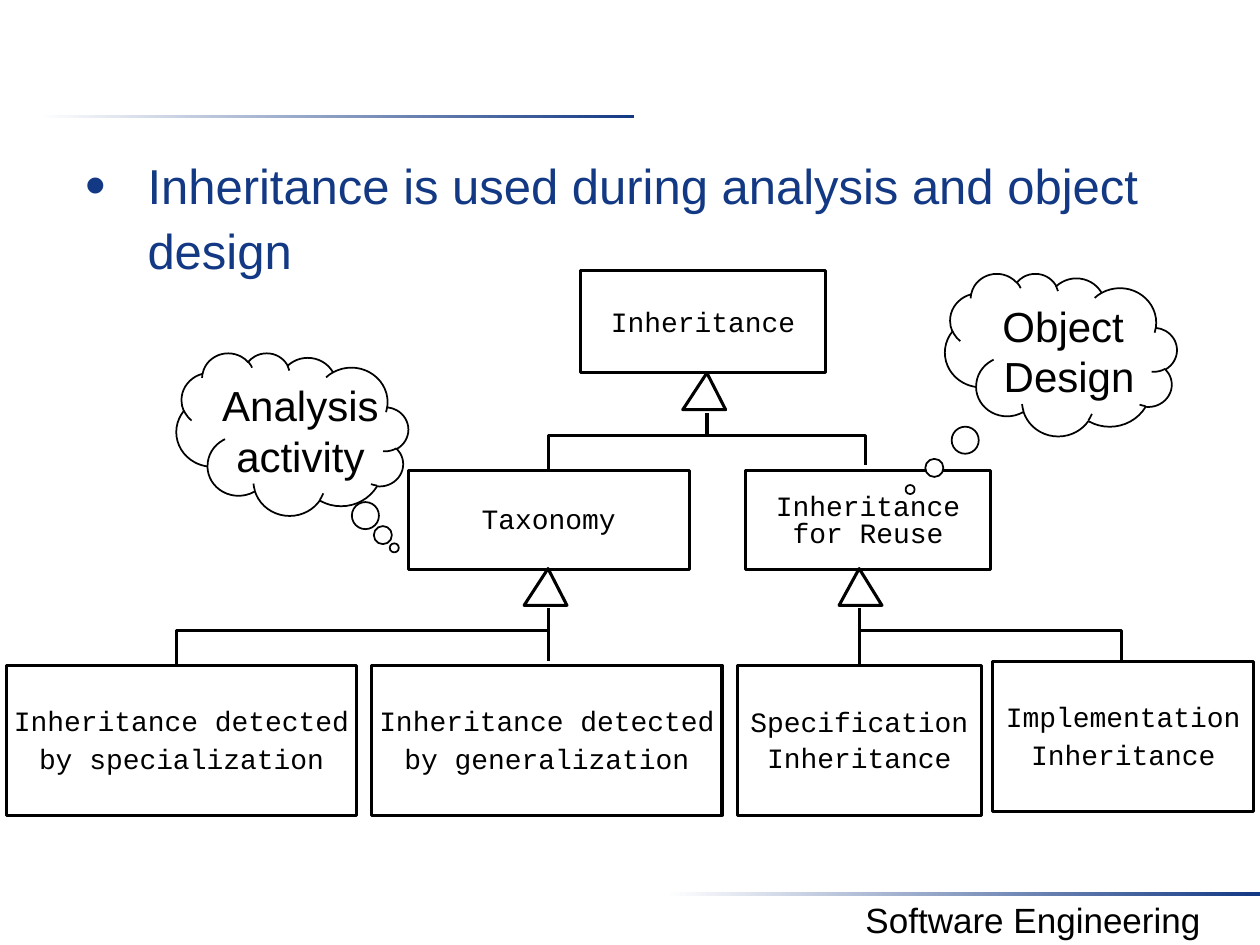
import pptx
import pptx.dml.color
import pptx.enum.shapes
import pptx.enum.text
import pptx.util
from lxml import etree
from pptx.oxml.ns import qn

Pt = pptx.util.Pt
Shape = pptx.enum.shapes.MSO_SHAPE
Align = pptx.enum.text.PP_ALIGN
Anchor = pptx.enum.text.MSO_ANCHOR
AutoSize = pptx.enum.text.MSO_AUTO_SIZE


def color(value):
    return pptx.dml.color.RGBColor.from_string(value)


def write(frame, text, font="Arial", size=24, ink="000000", align=Align.CENTER,
          spacing=None, anchor=Anchor.MIDDLE, wrap=False, bullet_indent=None):
    frame.word_wrap = wrap
    frame.vertical_anchor = anchor
    for index, line in enumerate(text.split("\n")):
        para = frame.add_paragraph() if index else frame.paragraphs[0]
        if bullet_indent:
            properties = para._p.get_or_add_pPr()
            properties.set("marL", str(Pt(bullet_indent)))
            properties.set("indent", str(-Pt(bullet_indent)))
            etree.SubElement(properties, qn("a:buSzPct"), val="120000")
            etree.SubElement(properties, qn("a:buChar"), char="•")
        para.alignment = align
        para.space_before = Pt(0)
        if spacing:
            para.line_spacing = spacing
        span = para.add_run()
        span.text = line
        span.font.name = font
        span.font.size = Pt(size)
        span.font.color.rgb = color(ink)


class Diagram:
    ink = "000000"
    accent = "133984"
    paper = "FFFFFF"
    weight = 1.75

    def __init__(self, deck):
        self.page = deck.slides.add_slide(deck.slide_layouts[1])
        self.shapes = self.page.shapes
        title = self.shapes.title
        title._element.getparent().remove(title._element)

    def outline(self, shape, weight=weight):
        shape.line.color.rgb = color(self.ink)
        shape.line.width = Pt(weight)

    def preset(self, kind, left, top, width, height):
        shape = self.shapes.add_shape(kind, Pt(left), Pt(top), Pt(width), Pt(height))
        shape.shadow.inherit = False
        return shape

    def rule(self, left, top):
        bar = self.preset(Shape.RECTANGLE, left, top, 340, 2.2)
        bar.line.fill.background()
        bar.fill.gradient()
        bar.fill.gradient_angle = 0
        for stop, value in zip(bar.fill.gradient_stops, (self.paper, self.accent)):
            stop.color.rgb = color(value)

    def footer(self, text):
        box = self.shapes.add_textbox(Pt(460.8), Pt(509.8), Pt(259.2), Pt(31.5))
        write(box.text_frame, text, size=20, anchor=Anchor.TOP, wrap=True)

    def body(self, text):
        box = self.page.placeholders[1]
        box.left, box.top, box.width, box.height = Pt(41.8), Pt(78.5), Pt(635.8), Pt(46)
        box.text_frame.auto_size = AutoSize.NONE
        box.text_frame.margin_top = Pt(7)
        write(box.text_frame, text, size=28, ink=self.accent, align=Align.LEFT,
              spacing=1.1, anchor=Anchor.TOP, wrap=True, bullet_indent=35.3)

    def class_box(self, text, left, top, width, height, leading=18):
        box = self.preset(Shape.RECTANGLE, left, top, width, height)
        box.fill.background()
        self.outline(box)
        frame = box.text_frame
        frame.margin_left = frame.margin_right = 0
        frame.margin_top = Pt(max(0, 18 - leading))
        frame.margin_bottom = Pt(max(0, leading - 18))
        write(frame, text, font="Courier New", size=16, spacing=Pt(leading))

    def polyline(self, points, close=False):
        corners = [(Pt(x), Pt(y)) for x, y in points]
        builder = self.shapes.build_freeform(*corners[0])
        builder.add_line_segments(corners[1:], close=close)
        shape = builder.convert_to_shape()
        shape.shadow.inherit = False
        shape.fill.background()
        self.outline(shape)

    def stem(self, x, top, bottom):
        line = self.shapes.add_connector(
            pptx.enum.shapes.MSO_CONNECTOR.STRAIGHT, Pt(x), Pt(bottom), Pt(x), Pt(top))
        etree.SubElement(line._element.spPr, qn("a:effectLst"))
        self.outline(line)

    def generalization(self, x, y, base_left, left, right):
        base, bar = y + 21, y + 35.6
        self.polyline([(x, base), (base_left, base), (x, y), (base_left + 24.5, base)],
                      close=True)
        self.polyline([(left, bar + 19.4), (left, bar), (right, bar), (right, bar + 17.3)])
        self.stem(x, y + 22.7, bar)

    def thought(self, text, left, top, tail):
        cloud = self.preset(Shape.CLOUD_CALLOUT, left, top, 132.5, 92.9)
        cloud._element.spPr.find(qn("a:xfrm")).set("flipH", "1")
        cloud.adjustments[0], cloud.adjustments[1] = tail
        cloud.fill.solid()
        cloud.fill.fore_color.rgb = color(self.paper)
        self.outline(cloud, 1)
        write(cloud.text_frame, text)


def main():
    deck = pptx.Presentation()
    deck.slide_width, deck.slide_height = Pt(720), Pt(540)
    diagram = Diagram(deck)
    diagram.rule(22.3, 65.5)
    diagram.rule(380.2, 509.8)
    diagram.footer("Software Engineering")
    diagram.body("Inheritance is used during analysis and object design")

    diagram.class_box("Inheritance", 331.9, 154.8, 139.7, 58.3)
    for arrow in [(404, 213.1, 390.2, 313.2, 494.6),
                  (491, 324.9, 479.5, 491, 640.8),
                  (313.2, 324.9, 299.5, 100.8, 313.2)]:
        diagram.generalization(*arrow)

    diagram.class_box("Specification\nInheritance", 421.2, 380.2, 139.7, 85.7, 20.2)
    diagram.class_box("Implementation\nInheritance", 567.4, 378, 149, 85.7, 21.6)
    diagram.class_box("Inheritance\nfor Reuse", 426.2, 268.6, 139.7, 56.9, 15)
    diagram.class_box("Taxonomy", 233.3, 268.6, 160.6, 56.9)
    for kind, left in [("generalization", 212.4), ("specialization", 3.6)]:
        diagram.class_box(f"Inheritance detected\nby {kind}", left, 380.2, 200.2, 85.7, 21.6)

    diagram.thought("Analysis\nactivity", 100.8, 201.6, (-0.44, 0.7))
    diagram.thought("Object \nDesign", 540, 156.2, (0.65, 0.83))
    deck.save("out.pptx")


if __name__ == "__main__":
    main()
